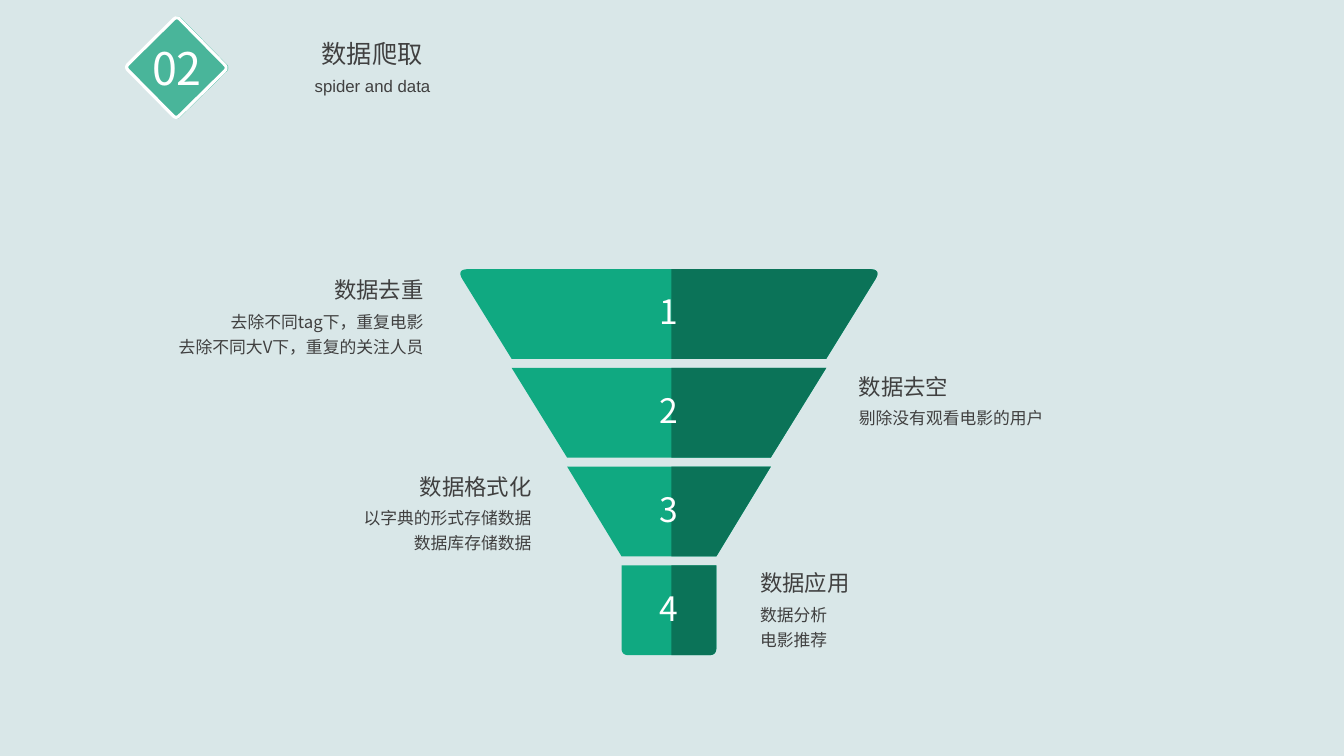
from pptx import Presentation
from pptx.dml.color import RGBColor
from pptx.enum.shapes import MSO_SHAPE
from pptx.enum.text import MSO_ANCHOR, MSO_AUTO_SIZE, PP_ALIGN
from pptx.util import Inches, Pt

CJK = "Noto Sans CJK SC"
BACKGROUND, INK, WHITE = "D9E7E8", "404040", "FFFFFF"
GREEN, DARK_GREEN, BADGE_GREEN = "10A981", "0B7358", "49B59A"

NUMBER, TITLE, SUBTITLE = "02", "数据爬取", "spider and data"
# heading, body lines, side of the funnel, edge facing the funnel, top
STEPS = [
    ("数据去重", ["去除不同tag下，重复电影", "去除不同大V下，重复的关注人员"], "left", 4.3, 2.69),
    ("数据去空", ["剔除没有观看电影的用户"], "right", 8.42, 3.65),
    ("数据格式化", ["以字典的形式存储数据", "数据库存储数据"], "left", 5.37, 4.64),
    ("数据应用", ["数据分析", "电影推荐"], "right", 7.44, 5.6),
]
# half width at the top and bottom of each tier
TIERS = [(2.11, 1.56), (1.56, 1.01), (1.01, 0.47), (0.47, 0.47)]
FUNNEL_TOP, TIER_HEIGHT, TIER_PITCH = 2.67, 0.89, 0.98
CENTRE, SPLIT = 6.635, 6.66
TOP_ROUNDING, BOTTOM_ROUNDING = 0.12, 0.07
CURVE_STEPS = 8
HEADING_WIDTH, BODY_WIDTH, BODY_DROP = 1.41, 3.35, 0.3

presentation = Presentation()
presentation.slide_width, presentation.slide_height = Inches(13.33), Inches(7.5)
slide = presentation.slides.add_slide(presentation.slide_layouts[5])


def rgb(color):
    return RGBColor.from_string(color)


def paint(shape, fill, line=None):
    shape.shadow.inherit = False
    shape.fill.solid()
    shape.fill.fore_color.rgb = rgb(fill)
    if line:
        shape.line.color.rgb = rgb(line)
        shape.line.width = Pt(2.25)
    else:
        shape.line.fill.background()


def write(lines, left, top, width, height, size=12, font=CJK, color=INK,
          align=PP_ALIGN.CENTER, anchor=MSO_ANCHOR.TOP, grow=True,
          spacing=None, before=0, shape=None):
    """Put lines in a new text box, or in the given placeholder."""
    box = [Inches(value) for value in (left, top, width, height)]
    shape = shape or slide.shapes.add_textbox(*box)
    shape.left, shape.top, shape.width, shape.height = box
    frame = shape.text_frame
    frame.text = "\n".join(lines)
    frame.word_wrap = True
    frame.vertical_anchor = anchor
    frame.auto_size = MSO_AUTO_SIZE.SHAPE_TO_FIT_TEXT if grow else MSO_AUTO_SIZE.NONE
    for paragraph in frame.paragraphs:
        paragraph.alignment = align
        paragraph.space_before = Pt(before)
        if spacing:
            paragraph.line_spacing = spacing
        run = paragraph.runs[0]
        run.font.size, run.font.name = Pt(size), font
        run.font.color.rgb = rgb(color)
        east_asian = run.font._element.makeelement(
            "{http://schemas.openxmlformats.org/drawingml/2006/main}ea", {"typeface": CJK})
        run.font._element.find("{*}latin").addnext(east_asian)


def toward(start, end, distance):
    length = ((end[0] - start[0]) ** 2 + (end[1] - start[1]) ** 2) ** 0.5
    return [a + (b - a) * distance / length for a, b in zip(start, end)]


def rounded_outline(corners):
    """Turn (x, y, rounding) corners into points, bending the rounded ones."""
    points = []
    for index, (x, y, rounding) in enumerate(corners):
        corner = (x, y)
        if not rounding:
            points.append(corner)
            continue
        start = toward(corner, corners[index - 1][:2], rounding)
        end = toward(corner, corners[(index + 1) % len(corners)][:2], rounding)
        for step in range(CURVE_STEPS + 1):
            t = step / CURVE_STEPS
            points.append(tuple((1 - t) ** 2 * a + 2 * t * (1 - t) * c + t ** 2 * b
                                for a, c, b in zip(start, corner, end)))
    return points


def add_outline(corners, fill):
    points = [(Inches(x), Inches(y)) for x, y in rounded_outline(corners)]
    builder = slide.shapes.build_freeform(*points[0])
    builder.add_line_segments(points[1:], close=True)
    paint(builder.convert_to_shape(), fill)


slide.background.fill.solid()
slide.background.fill.fore_color.rgb = rgb(BACKGROUND)

for left, top, side, rounding, fill, line in [
    (1.39, 0.3, 0.74, 0.059, GREEN, None),
    (1.39, 0.31, 0.72, 0.05, BADGE_GREEN, WHITE),
]:
    diamond = slide.shapes.add_shape(
        MSO_SHAPE.ROUNDED_RECTANGLE, Inches(left), Inches(top), Inches(side), Inches(side))
    diamond.adjustments[0] = rounding
    diamond.rotation = 45.4
    paint(diamond, fill, line)

write([NUMBER], 1.37, 0.35, 0.77, 0.64, size=32, color=WHITE)
write([TITLE], 0.98, 0.33, 5.42, 0.4, size=18, shape=slide.shapes.title)
write([SUBTITLE], 0.95, 0.7, 5.49, 0.3, font="Arial")

for index, (upper, lower) in enumerate(TIERS):
    top = FUNNEL_TOP + index * TIER_PITCH
    bottom = top + TIER_HEIGHT
    top_round = TOP_ROUNDING if index == 0 else 0
    bottom_round = BOTTOM_ROUNDING if index == len(TIERS) - 1 else 0
    right_side = [(CENTRE + upper, top, top_round), (CENTRE + lower, bottom, bottom_round)]
    left_side = [(CENTRE - lower, bottom, bottom_round), (CENTRE - upper, top, top_round)]
    add_outline(right_side + left_side, GREEN)
    add_outline(right_side + [(SPLIT, bottom, 0), (SPLIT, top, 0)], DARK_GREEN)
    write([str(index + 1)], 6.14, top, 0.99, TIER_HEIGHT, size=24, color=WHITE,
          anchor=MSO_ANCHOR.MIDDLE, grow=False, spacing=0.9, before=10)

for heading, body, side, edge, top in STEPS:
    on_left = side == "left"
    align = PP_ALIGN.RIGHT if on_left else PP_ALIGN.LEFT
    for lines, width, y, height, size, spacing in [
        (body, BODY_WIDTH, top + BODY_DROP, 0.1 + 0.25 * len(body), 12, 1.25),
        ([heading], HEADING_WIDTH, top, 0.37, 16, None),
    ]:
        write(lines, edge - width if on_left else edge, y, width, height,
              size=size, align=align, spacing=spacing)

presentation.save("out.pptx")
